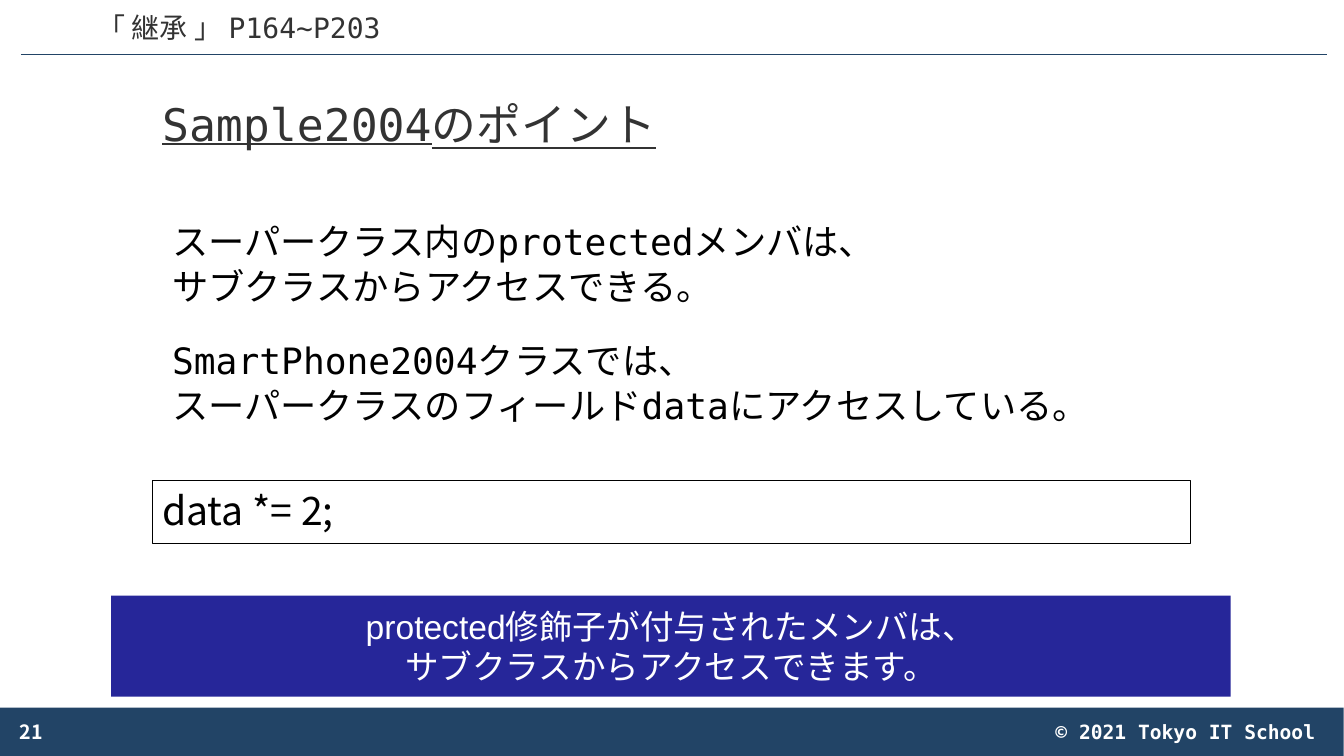
import pptx
import pptx.util
import pptx.dml.color
import pptx.enum.shapes
import pptx.enum.text
import pptx.oxml.ns
import lxml.etree

EMU_PER_PX = 914400 / 100.7
MONO, CJK, SANS = "DejaVu Sans Mono", "Noto Sans CJK JP", "Arial"
NAVY, INDIGO, GREY, BLACK, WHITE = "224466", "262699", "333333", "000000", "FFFFFF"
ALIGN = pptx.enum.text.PP_ALIGN
ANCHOR = pptx.enum.text.MSO_ANCHOR


def px(length):
    return pptx.util.Emu(round(length * EMU_PER_PX))


def color(hex_code):
    return pptx.dml.color.RGBColor.from_string(hex_code)


def add_xml(parent, tag, **attributes):
    return lxml.etree.SubElement(parent, pptx.oxml.ns.qn(tag), attributes)


class LessonSlide:
    def __init__(self, presentation):
        self.slide = presentation.slides.add_slide(presentation.slide_layouts[1])

    def set_text(self, shape, lines, size, ink, font=MONO, align=ALIGN.LEFT,
                 anchor=ANCHOR.MIDDLE, spacing=1.0, bold=False, underline=False,
                 top_inset=5):
        frame = shape.text_frame
        frame.text = "\n".join(lines)
        frame.word_wrap = True
        frame.auto_size = pptx.enum.text.MSO_AUTO_SIZE.NONE
        frame.vertical_anchor = anchor
        frame.margin_left = frame.margin_right = px(10)
        frame.margin_top, frame.margin_bottom = px(top_inset), px(5)
        for paragraph in frame.paragraphs:
            paragraph.alignment = align
            paragraph.line_spacing = spacing
            paragraph.space_before = pptx.util.Pt(0)
            for run in paragraph.runs:
                run.font.name = font
                run.font.size = pptx.util.Pt(size)
                run.font.bold = bold
                run.font.underline = underline
                run.font.color.rgb = color(ink)
                add_xml(run._r.get_or_add_rPr(), "a:ea", typeface=CJK)
        return frame

    def place(self, shape, left, top, width, height):
        shape.left, shape.top = px(left), px(top)
        shape.width, shape.height = px(width), px(height)

    def title(self, bounds, text, **style):
        heading = self.slide.shapes.title
        self.place(heading, *bounds)
        self.set_text(heading, [text], **style)

    def body(self, bounds, groups, group_gap, **style):
        points = self.slide.placeholders[1]
        self.place(points, *bounds)
        lines = [line for group in groups for line in group]
        frame = self.set_text(points, lines, **style)
        for paragraph in frame.paragraphs:
            properties = paragraph._p.get_or_add_pPr()
            properties.set("marL", "0")
            properties.set("indent", "0")
            add_xml(properties, "a:buNone")
        first = 0
        for group in groups[:-1]:
            first += len(group)
            frame.paragraphs[first].space_before = pptx.util.Pt(group_gap)

    def label(self, bounds, text, **style):
        box = self.slide.shapes.add_textbox(*map(px, bounds))
        self.set_text(box, [text], **style)

    def panel(self, bounds, fill=None, outline=None, lines=(), **style):
        panel = self.slide.shapes.add_shape(
            pptx.enum.shapes.MSO_SHAPE.RECTANGLE, *map(px, bounds))
        panel.shadow.inherit = False
        if fill:
            panel.fill.solid()
            panel.fill.fore_color.rgb = color(fill)
        else:
            panel.fill.background()
        if outline:
            panel.line.color.rgb = color(outline)
            panel.line.width = pptx.util.Pt(0.75)
        else:
            panel.line.fill.background()
        if lines:
            self.set_text(panel, lines, **style)

    def rule(self, left, right, y, ink):
        rule = self.slide.shapes.add_connector(
            pptx.enum.shapes.MSO_CONNECTOR.STRAIGHT, px(left), px(y), px(right), px(y))
        rule.line.color.rgb = color(ink)
        rule.line.width = pptx.util.Pt(0.5)
        add_xml(rule._element.spPr, "a:effectLst")


def main():
    presentation = pptx.Presentation()
    presentation.slide_width = pptx.util.Inches(13.34)
    presentation.slide_height = pptx.util.Inches(7.5)
    lesson = LessonSlide(presentation)

    # Chapter header
    lesson.rule(21, 1326, 54, NAVY)
    lesson.label((0, -4, 478, 54), "「 継承 」 P164~P203", size=20, ink=GREY,
                 align=ALIGN.CENTER, anchor=ANCHOR.BOTTOM, spacing=0.9)

    # Title and key points
    lesson.title((152, 68, 1039, 118), "Sample2004のポイント", size=32, ink=GREY,
                 spacing=0.9, underline=True)
    lesson.body((162, 212, 1039, 230),
                [["スーパークラス内のprotectedメンバは、",
                  "サブクラスからアクセスできる。"],
                 ["SmartPhone2004クラスでは、",
                  "スーパークラスのフィールドdataにアクセスしている。"]],
                group_gap=20.8, size=25.9, ink=BLACK, anchor=ANCHOR.TOP,
                spacing=pptx.util.Pt(32.2))

    # Code line and conclusion
    lesson.panel((152, 480, 1038, 63), outline=BLACK, lines=["data *= 2;"],
                 size=28, ink=BLACK, font=CJK, spacing=pptx.util.Pt(28), top_inset=9)
    lesson.panel((111, 595, 1119, 101), fill=INDIGO,
                 lines=["protected修飾子が付与されたメンバは、",
                        "サブクラスからアクセスできます。"],
                 size=24, ink=WHITE, font=SANS, align=ALIGN.CENTER)

    # Footer
    lesson.panel((0, 707, 1343, 49), fill=NAVY)
    lesson.label((10, 711, 302, 40), "21", size=14, ink=WHITE, font=CJK, bold=True)
    lesson.label((840, 714, 485, 34), "© 2021 Tokyo IT School", size=14, ink=WHITE,
                 align=ALIGN.RIGHT, anchor=ANCHOR.TOP, bold=True)

    presentation.save("out.pptx")


if __name__ == "__main__":
    main()
